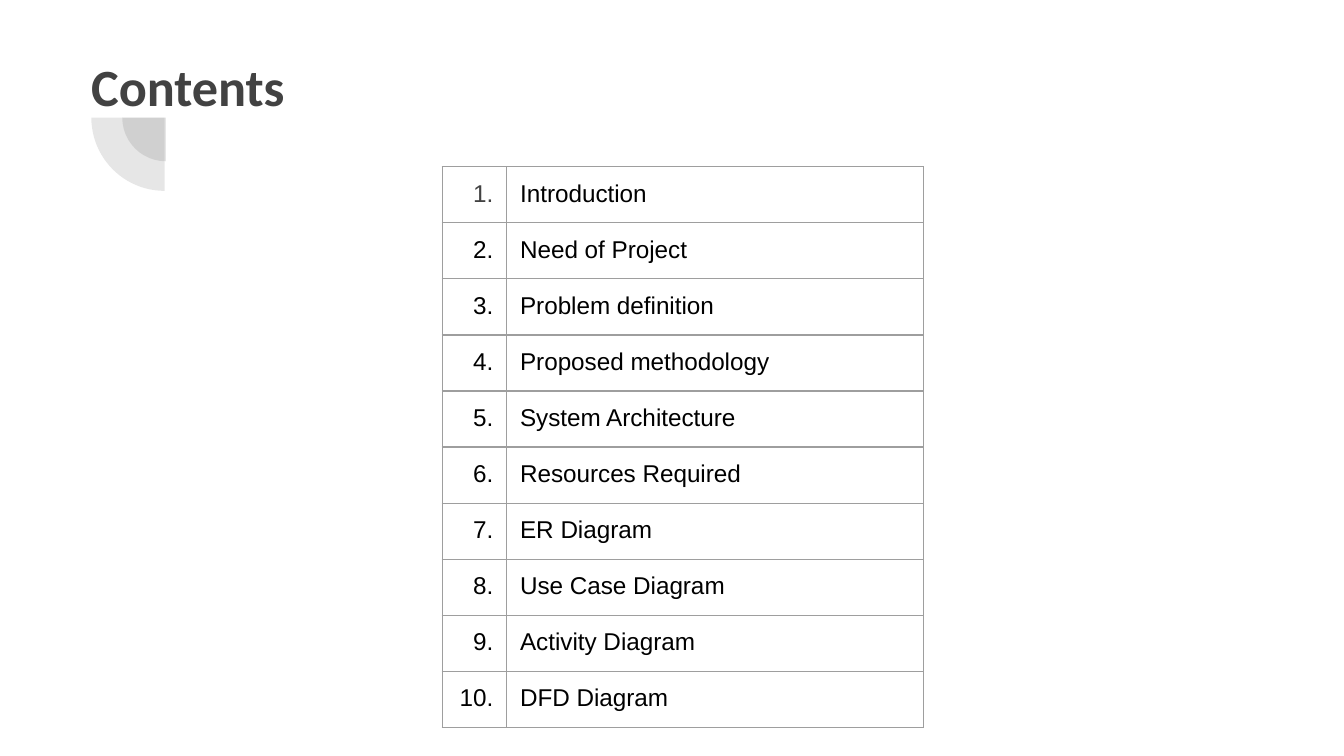
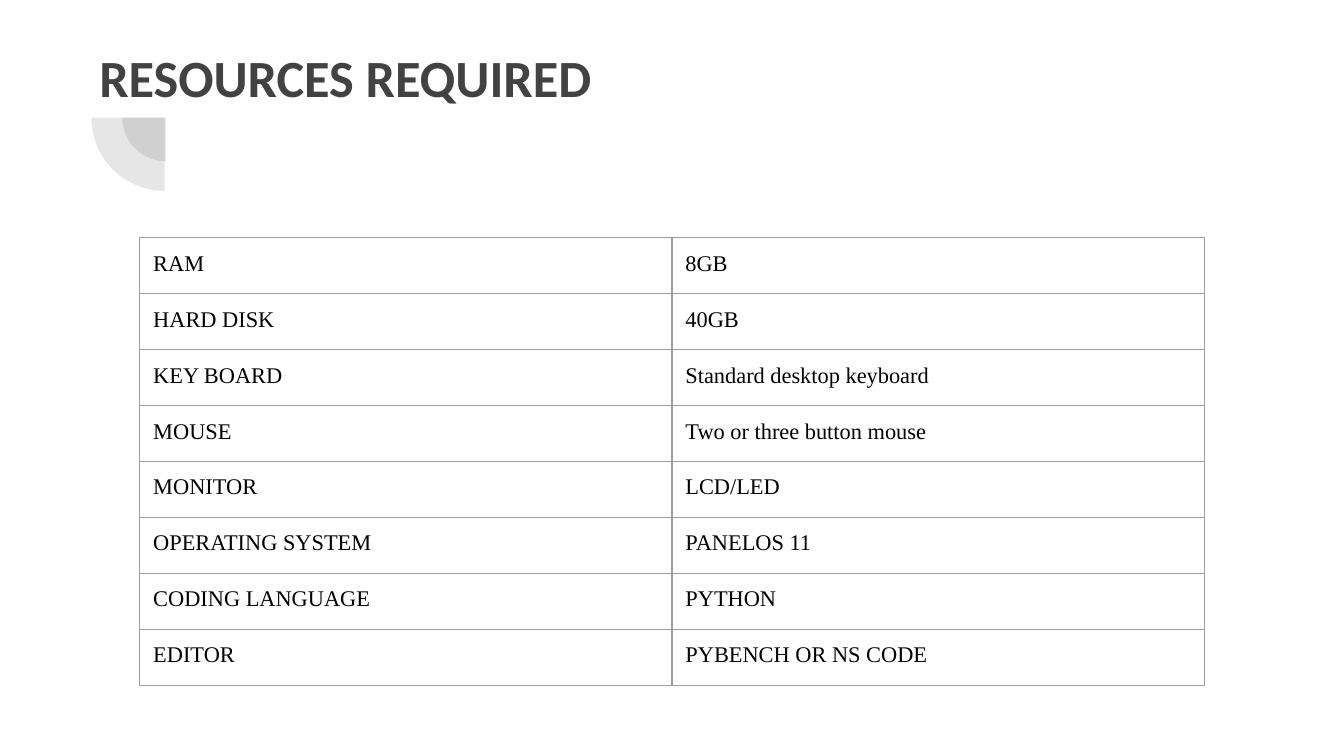
"""Build the contents and resources slides of a project talk."""
from dataclasses import dataclass

from lxml.etree import SubElement
from pptx import Presentation
from pptx.dml.color import RGBColor
from pptx.enum.shapes import MSO_SHAPE
from pptx.enum.text import PP_ALIGN
from pptx.oxml.ns import qn
from pptx.slide import Slide
from pptx.table import _Cell
from pptx.util import Inches, Pt

WIDE = Inches(10)
HIGH = WIDE * 9 // 16
GREY = "424242"
BLACK = "000000"
EDGE = "9E9E9E"
WHITE = "FFFFFF"
PAD = Inches(0.1)


@dataclass(frozen=True)
class Pie:
    """A quarter disc given by its full circle."""
    left: float
    top: float
    size: float


@dataclass(frozen=True)
class Title:
    """A slide title and its corner."""
    text: str
    left: float
    top: float


@dataclass(frozen=True)
class Grid:
    """A table with equal rows."""
    left: float
    top: float
    height: float
    cols: tuple[float, ...]
    rows: list[tuple[str, str]]
    font: str
    size: int
    align: PP_ALIGN = PP_ALIGN.LEFT
    lead: str = BLACK


PIES = (Pie(0.91, 0.55, 0.65), Pie(0.68, 0.33, 1.09))

TOPICS = (
    "Introduction", "Need of Project", "Problem definition",
    "Proposed methodology", "System Architecture", "Resources Required",
    "ER Diagram", "Use Case Diagram", "Activity Diagram", "DFD Diagram",
)

NEEDS = [
    ("RAM", "8GB"),
    ("HARD DISK", "40GB"),
    ("KEY BOARD", "Standard desktop keyboard"),
    ("MOUSE", "Two or three button mouse"),
    ("MONITOR", "LCD/LED"),
    ("OPERATING SYSTEM", "PANELOS 11"),
    ("CODING LANGUAGE", "PYTHON"),
    ("EDITOR", "PYBENCH OR NS CODE"),
]

PAGES = (
    (Title("Contents", 0.58, 0.3),
     Grid(3.29, 1.24, 4.17, (0.48, 3.1),
          [(f"{num}.", topic) for num, topic in enumerate(TOPICS, 1)],
          "Arial", 13, PP_ALIGN.RIGHT, GREY)),
    (Title("RESOURCES REQUIRED", 0.64, 0.24),
     Grid(1.04, 1.77, 3.33, (3.96, 3.96), NEEDS, "Times New Roman", 12)),
)


def tint(code: str) -> RGBColor:
    """Turn a hex string into a colour."""
    return RGBColor.from_string(code)


def draw_pie(slide: Slide, pie: Pie) -> None:
    """Draw one faint quarter disc."""
    shape = slide.shapes.add_shape(
        MSO_SHAPE.PIE, Inches(pie.left), Inches(pie.top),
        Inches(pie.size), Inches(pie.size))
    shape.adjustments[0] = 108
    shape.adjustments[1] = 162
    shape.rotation = 270
    shape.shadow.inherit = False
    shape.line.fill.background()
    shape.fill.solid()
    shape.fill.fore_color.rgb = tint(GREY)
    color = shape.element.spPr.find(qn("a:solidFill"))[0]
    SubElement(color, qn("a:alpha"), val="13000")


def draw_title(slide: Slide, title: Title) -> None:
    """Draw the bold slide title."""
    frame = slide.shapes.add_textbox(
        Inches(title.left), Inches(title.top),
        Inches(7.69), Inches(1.09)).text_frame
    frame.word_wrap = True
    frame.margin_left = frame.margin_right = PAD
    frame.margin_top = frame.margin_bottom = PAD
    frame.text = title.text
    font = frame.paragraphs[0].font
    font.name, font.size, font.bold = "Calibri", Pt(28), True
    font.color.rgb = tint(GREY)


def frame_cell(cell: _Cell) -> None:
    """Give a cell thin borders, even margins and no fill."""
    props = cell._tc.get_or_add_tcPr()
    for side in "LRTB":
        line = SubElement(props, qn(f"a:ln{side}"), w=str(Pt(0.75)))
        fill = SubElement(line, qn("a:solidFill"))
        SubElement(fill, qn("a:srgbClr"), val=EDGE)
    cell.fill.background()
    cell.margin_left = cell.margin_right = PAD
    cell.margin_top = cell.margin_bottom = PAD


def draw_grid(slide: Slide, grid: Grid) -> None:
    """Draw a table and fill in its text."""
    count = len(grid.rows)
    table = slide.shapes.add_table(
        count, len(grid.cols), Inches(grid.left), Inches(grid.top),
        Inches(sum(grid.cols)), Inches(grid.height)).table
    table.first_row = table.horz_banding = False
    for col, width in zip(table.columns, grid.cols):
        col.width = Inches(width)
    for y, row in enumerate(grid.rows):
        table.rows[y].height = Inches(grid.height / count)
        for x, text in enumerate(row):
            cell = table.cell(y, x)
            frame_cell(cell)
            cell.text = text
            para = cell.text_frame.paragraphs[0]
            para.alignment = PP_ALIGN.LEFT if x else grid.align
            para.font.name, para.font.size = grid.font, Pt(grid.size)
            para.font.color.rgb = tint(BLACK if x or y else grid.lead)


def main() -> None:
    """Build and save the slides."""
    deck = Presentation()
    deck.slide_width, deck.slide_height = WIDE, HIGH
    for title, grid in PAGES:
        slide = deck.slides.add_slide(deck.slide_layouts[6])
        slide.background.fill.solid()
        slide.background.fill.fore_color.rgb = tint(WHITE)
        for pie in PIES:
            draw_pie(slide, pie)
        draw_title(slide, title)
        draw_grid(slide, grid)
    deck.save("out.pptx")


if __name__ == "__main__":
    main()
